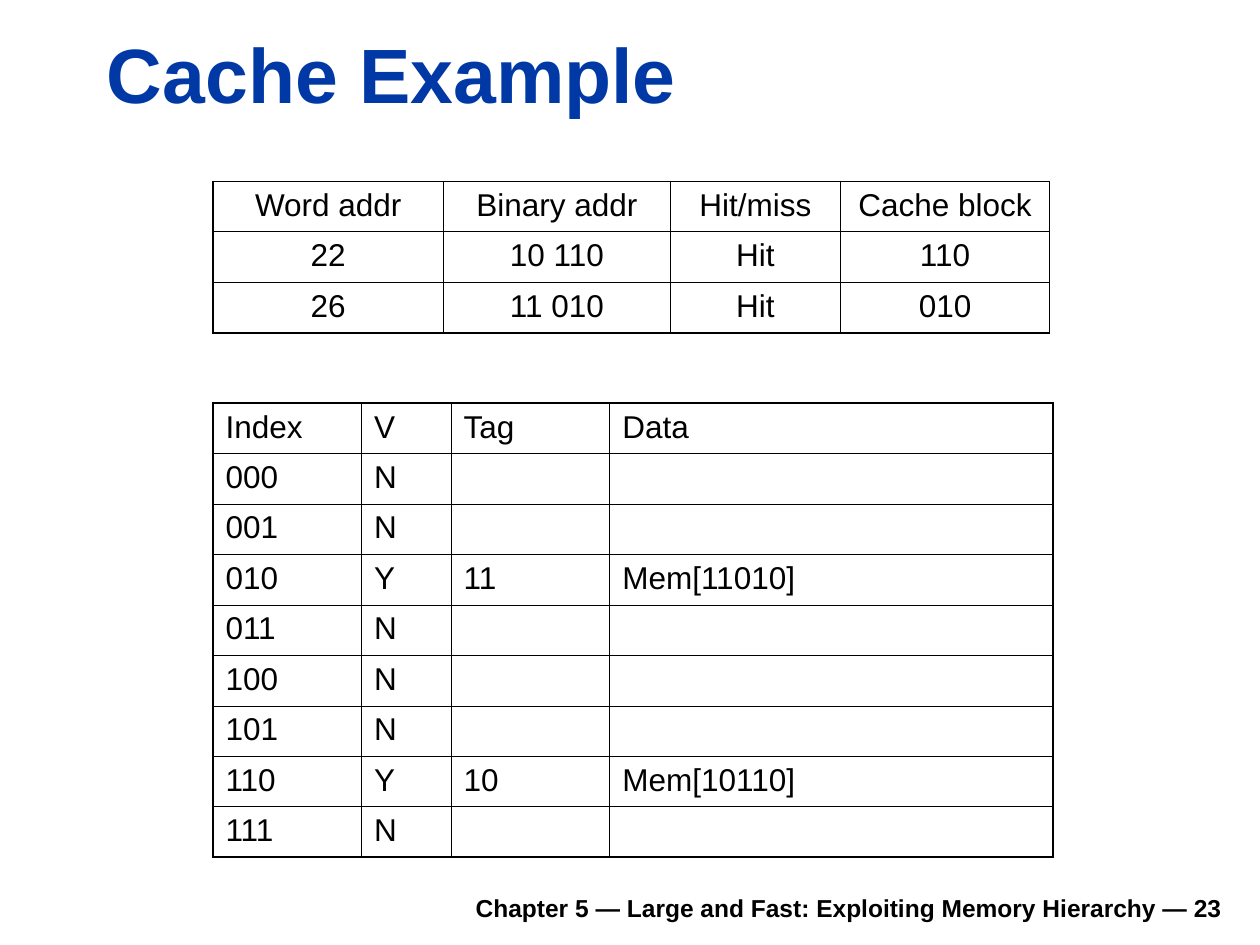
from lxml.etree import SubElement
from pptx import Presentation
from pptx.dml.color import RGBColor
from pptx.enum.text import MSO_ANCHOR, PP_ALIGN
from pptx.oxml.ns import qn
from pptx.util import Inches, Pt

COLORS = {"title": "0039A6", "text": "000000", "border": "000000"}
FONT = "Arial"
ROW_HEIGHT = 0.4
OUTER, HEADER, INNER = 1.08, 0.75, 0.45

ACCESSES = [
    ["Word addr", "Binary addr", "Hit/miss", "Cache block"],
    ["22", "10 110", "Hit", "110"],
    ["26", "11 010", "Hit", "010"],
]
FILLED_BLOCKS = {"010": ["Y", "11", "Mem[11010]"], "110": ["Y", "10", "Mem[10110]"]}


def cache_rows():
    indexes = [f"{i:03b}" for i in range(8)]
    return [["Index", "V", "Tag", "Data"]] + [
        [index] + FILLED_BLOCKS.get(index, ["N", "", ""]) for index in indexes
    ]


def write_text(tf, text, size=18, color="text", bold=False, align=PP_ALIGN.LEFT):
    p = tf.paragraphs[0]
    p.alignment = align
    p.font.size = Pt(size)
    if text:
        r = p.add_run()
        r.text = text
        r.font.name = FONT
        r.font.size = Pt(size)
        r.font.bold = bold
        r.font.color.rgb = RGBColor.from_string(COLORS[color])


def add_text(s, text, left, top, width, height, **fmt):
    """Add a wrapped text box anchored at its bottom."""
    box = s.shapes.add_textbox(Inches(left), Inches(top), Inches(width), Inches(height))
    tf = box.text_frame
    tf.word_wrap = True
    tf.vertical_anchor = MSO_ANCHOR.BOTTOM
    write_text(tf, text, **fmt)


def set_borders(cell, **widths):
    """Draw the cell sides L, R, T and B with the given widths in points."""
    tcPr = cell._tc.get_or_add_tcPr()
    for side, width in widths.items():
        ln = SubElement(tcPr, qn(f"a:ln{side}"), w=str(Pt(width)))
        fill = SubElement(ln, qn("a:solidFill"))
        SubElement(fill, qn("a:srgbClr"), val=COLORS["border"])


def add_grid(s, rows, left, top, col_widths, rule=INNER, align=PP_ALIGN.LEFT):
    """Add a table with a heavy frame; rule is the line width between body rows."""
    n_rows, n_cols = len(rows), len(col_widths)
    frame = s.shapes.add_table(
        n_rows, n_cols, Inches(left), Inches(top),
        Inches(sum(col_widths)), Inches(ROW_HEIGHT * n_rows),
    )
    table = frame.table
    table.first_row = table.horz_banding = False
    for column, width in zip(table.columns, col_widths):
        column.width = Inches(width)
    h_lines = [OUTER, HEADER] + [rule] * (n_rows - 2) + [OUTER]
    v_lines = [OUTER] + [INNER] * (n_cols - 1) + [OUTER]
    for i, row in enumerate(rows):
        table.rows[i].height = Inches(ROW_HEIGHT)
        for j, text in enumerate(row):
            cell = table.cell(i, j)
            set_borders(cell, L=v_lines[j], R=v_lines[j + 1],
                        T=h_lines[i], B=h_lines[i + 1])
            cell.fill.background()
            write_text(cell.text_frame, text, align=align)


def main():
    prs = Presentation()
    prs.slide_width, prs.slide_height = Inches(10), Inches(7.5)
    s = prs.slides.add_slide(prs.slide_layouts[6])
    add_text(s, "Chapter 5 — Large and Fast: Exploiting Memory Hierarchy — 23",
             1.85, 6.98, 7.95, 0.39, size=14, bold=True, align=PP_ALIGN.RIGHT)
    add_text(s, "Cache Example", 0.75, 0.16, 9.03, 0.83,
             size=44, color="title", bold=True)
    add_grid(s, cache_rows(), 1.69, 3.2, [1.18, 0.71, 1.26, 3.52])
    add_grid(s, ACCESSES, 1.69, 1.44, [1.83, 1.8, 1.35, 1.66],
             rule=HEADER, align=PP_ALIGN.CENTER)
    prs.save("out.pptx")


if __name__ == "__main__":
    main()
